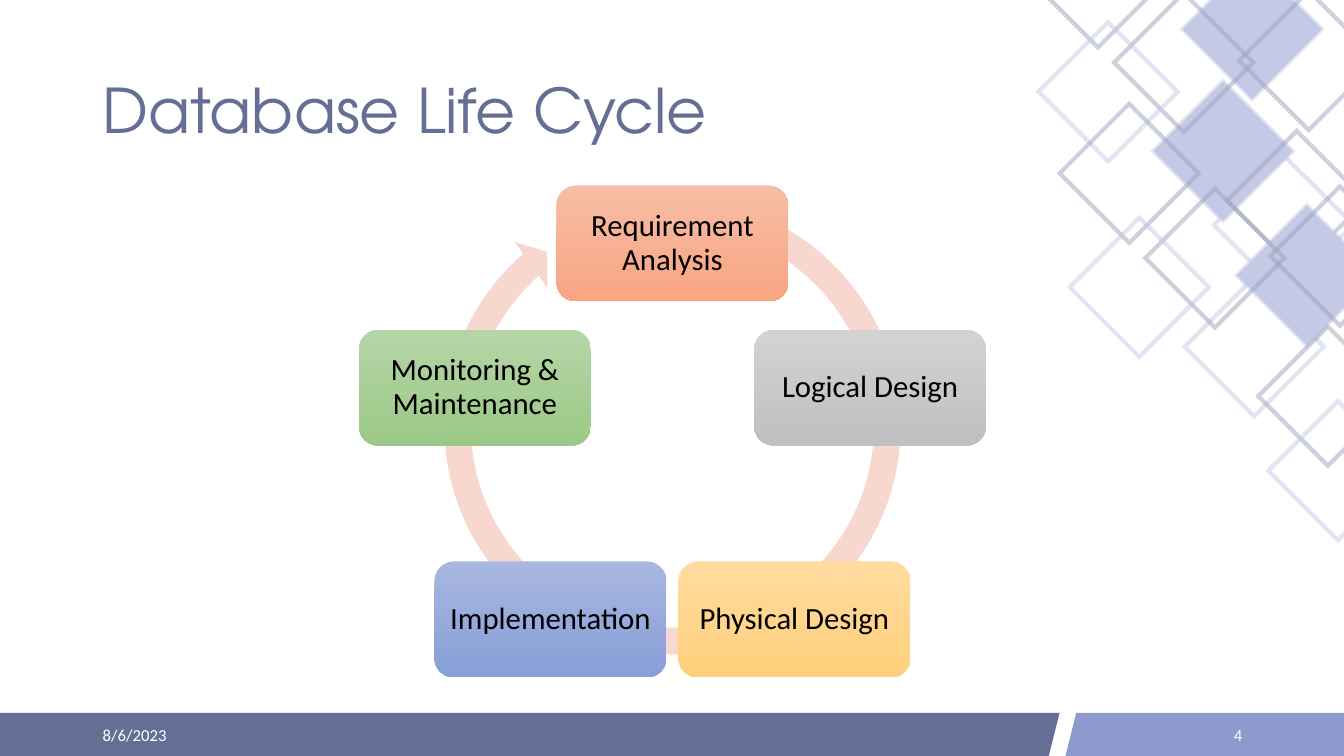
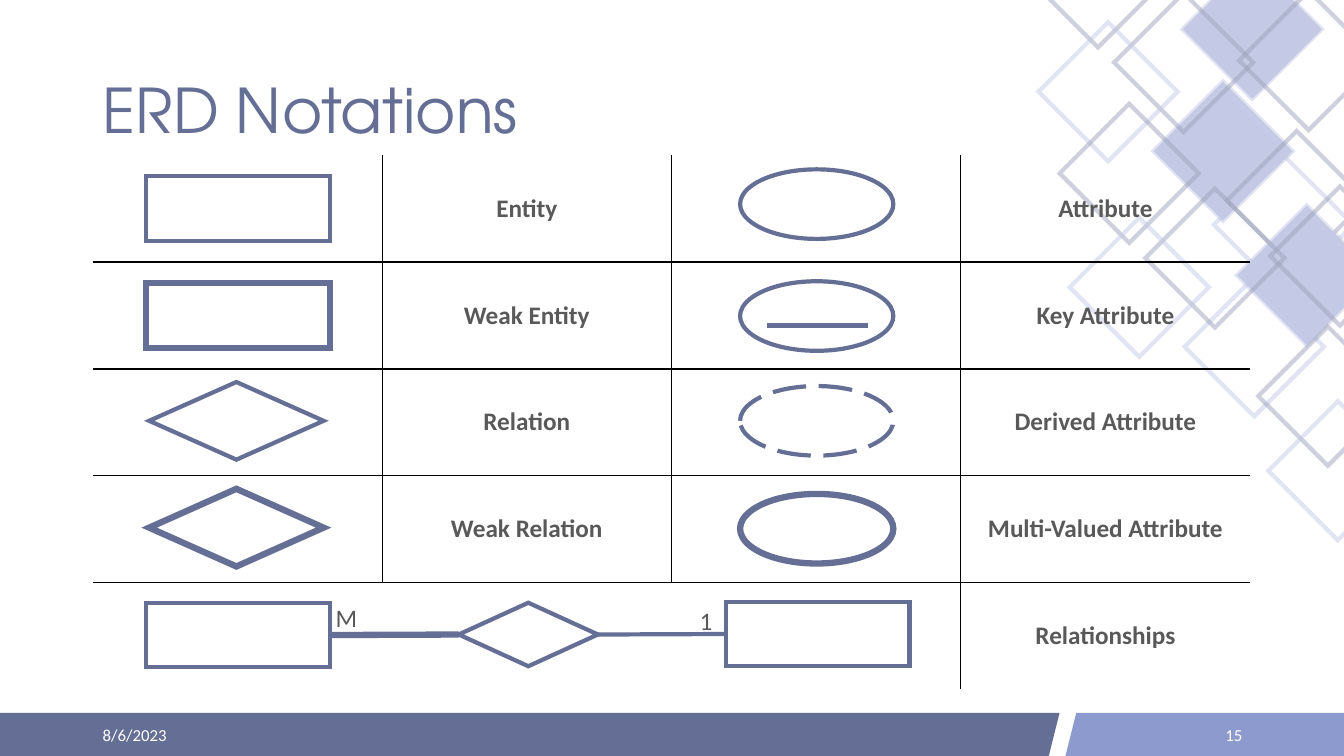
from math import cos, radians, sin

from lxml.etree import SubElement
from pptx import Presentation
from pptx.dml.color import RGBColor
from pptx.enum.dml import MSO_LINE
from pptx.enum.shapes import MSO_CONNECTOR, MSO_SHAPE as SHAPE
from pptx.enum.text import MSO_ANCHOR as ANCHOR, PP_ALIGN as ALIGN
from pptx.oxml.ns import qn
from pptx.util import Pt

PX = 9144  # 100 px to the inch
INK, PERIWINKLE, LILAC, SLATE = "656E95", "8D9ACE", "C4CAE6", "9EA3BC"
GREY, WHITE, BLACK = "595959", "FFFFFF", "000000"
BODY = {"name": "Calibri", "size": Pt(18)}
HEADING = {"name": "TeX Gyre Adventor", "size": Pt(44)}
FOOTER = {"name": "Calibri", "size": Pt(12)}
rgb = RGBColor.from_string


def draw(page, kind, box, fill=None, line=None, width=3):
    shape = page.shapes.add_shape(kind, *[value * PX for value in box])
    shape.shadow.inherit = False
    if fill:
        shape.fill.solid()
        shape.fill.fore_color.rgb = rgb(fill)
    else:
        shape.fill.background()
    if line:
        shape.line.color.rgb = rgb(line)
        shape.line.width = Pt(width)
        # Sharp corners
        SubElement(shape._element.spPr.find(qn("a:ln")), qn("a:miter"), lim="800000")
    else:
        shape.line.fill.background()
    return shape


def write(frame, text, font, color, para_format=None, frame_format=None):
    para = frame.paragraphs[0]
    span = para.add_run()
    span.text = text
    span.font.color.rgb = rgb(color)
    for target, values in ((span.font, font), (para, para_format), (frame, frame_format)):
        for name, value in (values or {}).items():
            setattr(target, name, value)


deck = Presentation()
deck.slide_width, deck.slide_height = 1333 * PX, 750 * PX

# Shared look: bottom bands, diamonds, title, date and number
DIAMONDS = [
    (1173, -40, LILAC, True), (1229, -9, SLATE, False),
    (1144, 81, LILAC, True), (1105, -7, SLATE, False),
    (1217, 130, SLATE, False), (1227, 204, LILAC, True),
    (1020, -91, SLATE, False), (1030, 22, LILAC, False),
]
CLUSTERS = [(0, 0, True), (31, 194, False)]
BANDS = [((-48, 708, 1098, 44), INK), ((1057, 708, 294, 44), PERIWINKLE)]
MIDDLE = {"word_wrap": True, "vertical_anchor": ANCHOR.MIDDLE}

pages = []
for title, number in (("Database Life Cycle", "4"), ("ERD Notations", "15")):
    page = deck.slides.add_slide(deck.slide_layouts[6])
    pages.append(page)
    for box, color in BANDS:
        draw(page, SHAPE.PARALLELOGRAM, box, color, color, 1)
    for shift_x, shift_y, may_fill in CLUSTERS:
        for left, top, color, filled in DIAMONDS:
            box = (left + shift_x, top + shift_y, 138, 138)
            diamond = draw(page, SHAPE.DIAMOND, box, color if filled and may_fill else None, color)
            outline = diamond._element.spPr.find(qn("a:ln"))
            SubElement(outline.find(".//" + qn("a:srgbClr")), qn("a:alpha"), val="50000")
    for box, text, font, color, para_format in (
        ((92, 40, 1150, 145), title, HEADING, INK, {"line_spacing": 0.9}),
        ((92, 709, 300, 40), "8/6/2023", FOOTER, WHITE, {}),
        ((942, 709, 300, 40), number, FOOTER, WHITE, {"alignment": ALIGN.RIGHT}),
    ):
        label = page.shapes.add_textbox(*[value * PX for value in box])
        write(label.text_frame, text, font, color, para_format, MIDDLE)

cycle_page, notation_page = pages

# Life cycle: five steps evenly spaced round a circular arrow
arrow = draw(cycle_page, SHAPE.CIRCULAR_ARROW, (426, 182, 482, 482), "F8D7CE")
for index, value in enumerate((0.055, 3.307, 137.289, 174.147, 0.058)):
    arrow.adjustments[index] = value

STEPS = [
    ("Requirement Analysis", "F7BDA5", "F8A582"),
    ("Logical Design", "D2D2D2", "C0C0C0"),
    ("Physical Design", "FFDB9E", "FFD07C"),
    ("Implementation", "A8B7DF", "889ED7"),
    ("Monitoring & Maintenance", "B5D5A7", "9CC987"),
]
CENTER_X, CENTER_Y, RADIUS, STEP_W, STEP_H = 667, 448, 206, 230, 115
STEP_FRAME = MIDDLE | {f"margin_{side}": 7 * PX for side in ("left", "right", "top", "bottom")}
for index, (text, *shades) in enumerate(STEPS):
    angle = radians(index * 360 / len(STEPS))
    left = round(CENTER_X + RADIUS * sin(angle) - STEP_W / 2)
    top = round(CENTER_Y - RADIUS * cos(angle) - STEP_H / 2)
    step = draw(cycle_page, SHAPE.ROUNDED_RECTANGLE, (left, top, STEP_W, STEP_H))
    step.fill.gradient()
    step.fill.gradient_angle = 270
    for stop, shade in zip(step.fill.gradient_stops, shades):
        stop.color.rgb = rgb(shade)
    write(step.text_frame, text, BODY | {"size": Pt(22)}, BLACK,
          {"alignment": ALIGN.CENTER, "line_spacing": 0.9}, STEP_FRAME)

# Notation table: inner rules only
ROWS = [
    ("", "Entity", "", "Attribute"),
    ("", "Weak Entity", "", "Key Attribute"),
    ("", "Relation", "", "Derived Attribute"),
    ("", "Weak Relation", "", "Multi-Valued Attribute"),
    ("", "", "", "Relationships"),
]
LAST_ROW, LAST_COL = len(ROWS) - 1, len(ROWS[0]) - 1
frame = notation_page.shapes.add_table(
    len(ROWS), len(ROWS[0]), 92 * PX, 154 * PX, 1148 * PX, 530 * PX)
table = frame.table
table.first_row = table.horz_banding = False
table.cell(LAST_ROW, 0).merge(table.cell(LAST_ROW, LAST_COL - 1))
for column in table.columns:
    column.width = 287 * PX
for row in table.rows:
    row.height = 106 * PX
for row_index, texts in enumerate(ROWS):
    for col_index, text in enumerate(texts):
        cell = table.cell(row_index, col_index)
        merged = row_index == LAST_ROW and col_index < LAST_COL
        ruled = {
            "a:lnL": col_index > 0 and not merged,
            "a:lnR": col_index < LAST_COL and (not merged or col_index in (0, LAST_COL - 1)),
            "a:lnT": row_index > 0,
            "a:lnB": row_index < LAST_ROW,
        }
        properties = cell._tc.get_or_add_tcPr()
        for tag, visible in ruled.items():
            border = SubElement(properties, qn(tag), w=str(Pt(1)))
            if visible:
                paint = SubElement(border, qn("a:solidFill"))
                SubElement(paint, qn("a:srgbClr"), val=BLACK)
            else:
                SubElement(border, qn("a:noFill"))
        cell.fill.background()
        cell.vertical_anchor = ANCHOR.MIDDLE
        if text:
            write(cell.text_frame, text, BODY | {"bold": True}, GREY,
                  {"alignment": ALIGN.CENTER})

# Notation symbols
SYMBOLS = [
    (SHAPE.RECTANGLE, (145, 175, 182, 64), 3),
    (SHAPE.RECTANGLE, (145, 281, 182, 64), 4.5),
    (SHAPE.DIAMOND, (148, 379, 173, 77), 3),
    (SHAPE.DIAMOND, (148, 485, 173, 77), 4.5),
    (SHAPE.OVAL, (734, 168, 152, 69), 3),
    (SHAPE.OVAL, (734, 279, 152, 69), 3),
    (SHAPE.OVAL, (734, 383, 152, 69), 3),
    (SHAPE.OVAL, (734, 490, 152, 69), 4.5),
    (SHAPE.RECTANGLE, (145, 598, 182, 64), 3),
    (SHAPE.RECTANGLE, (720, 597, 182, 64), 3),
    (SHAPE.DIAMOND, (455, 598, 138, 63), 3),
]
symbols = [draw(notation_page, kind, box, None, INK, width) for kind, box, width in SYMBOLS]
derived_attribute = symbols[6]
derived_attribute.line.dash_style = MSO_LINE.LONG_DASH
many_entity, one_entity, relation = symbols[-3:]

# Key underline and relationship lines
for ends, width, start, finish in (
    ((761, 323, 861, 323), 3, None, None),
    ((327, 630, 455, 630), 4.5, many_entity, relation),
    ((593, 630, 720, 629), 3, relation, one_entity),
):
    link = notation_page.shapes.add_connector(
        MSO_CONNECTOR.STRAIGHT, *[value * PX for value in ends])
    link.line.color.rgb = rgb(INK)
    link.line.width = Pt(width)
    SubElement(link._element.spPr, qn("a:effectLst"))
    if start:
        link.begin_connect(start, 3)
        link.end_connect(finish, 1)

# Cardinality labels
for box, text in (((323, 593, 42, 40), "M"), ((684, 596, 33, 40), "1")):
    label = notation_page.shapes.add_textbox(*[value * PX for value in box])
    write(label.text_frame, text, BODY, GREY, None, {"word_wrap": False})

deck.save("out.pptx")
